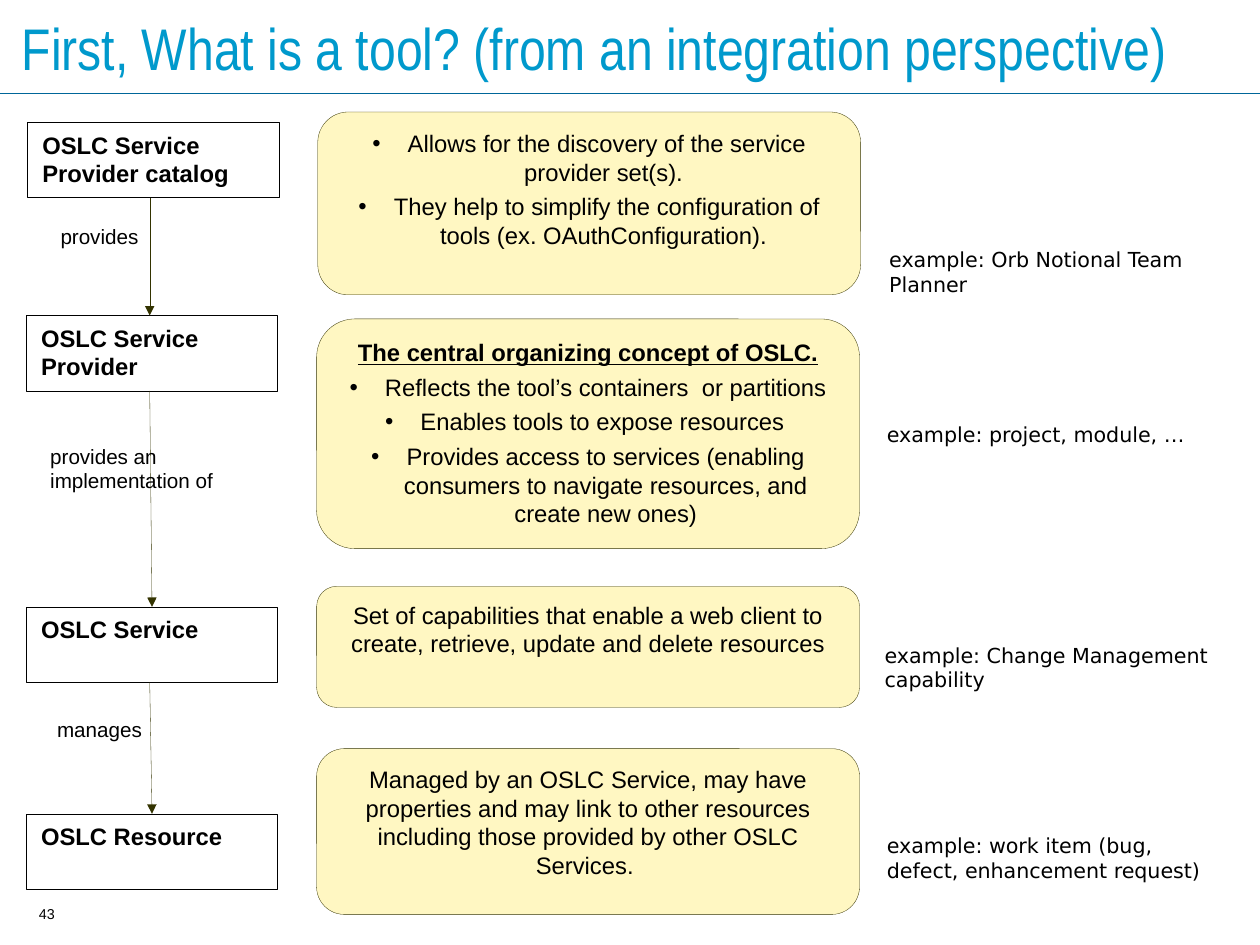
from dataclasses import dataclass

from lxml import etree
from pptx import Presentation
from pptx.dml.color import RGBColor
from pptx.enum.shapes import MSO_CONNECTOR, MSO_SHAPE
from pptx.enum.text import MSO_ANCHOR, PP_ALIGN
from pptx.oxml.ns import qn
from pptx.util import Inches, Pt

RECT = MSO_SHAPE.RECTANGLE
ROUND = MSO_SHAPE.ROUNDED_RECTANGLE
STRAIGHT = MSO_CONNECTOR.STRAIGHT
LEFT, CENTER = PP_ALIGN.LEFT, PP_ALIGN.CENTER
TOP, MIDDLE = MSO_ANCHOR.TOP, MSO_ANCHOR.MIDDLE


@dataclass(frozen=True)
class Theme:
    ink: RGBColor = RGBColor(0, 0, 0)
    title: RGBColor = RGBColor(0x00, 0x99, 0xCC)
    rule: RGBColor = RGBColor(0x00, 0x66, 0x99)
    edge: RGBColor = RGBColor(0x33, 0x33, 0x00)
    note: RGBColor = RGBColor(0xFF, 0xF7, 0xC2)
    sans: str = "Arial"
    narrow: str = "Arial Narrow"
    wide: str = "DejaVu Sans"
    head: float = 37
    body: float = 15
    label: float = 13
    page: float = 9
    hair: float = 0.2
    thin: float = 0.75
    gap: float = 3.75


theme = Theme()


def write(shape, lines, size, font=theme.sans, color=theme.ink, align=LEFT,
          anchor=TOP, pad=(0.13, 0.07), wrap=True):
    """Fill a shape with (text, style) lines; style holds b, u or * for a bullet."""
    frame = shape.text_frame
    frame.word_wrap = wrap
    frame.vertical_anchor = anchor
    frame.margin_left = frame.margin_right = Inches(pad[0])
    frame.margin_top = frame.margin_bottom = Inches(pad[1])
    for i, (text, style) in enumerate(lines):
        para = frame.paragraphs[0] if i == 0 else frame.add_paragraph()
        para.alignment = align
        if "*" in style:
            props = para._p.get_or_add_pPr()
            props.set("marL", str(Inches(0.31)))
            props.set("indent", str(-Inches(0.31)))
            etree.SubElement(props, qn("a:buFont")).set("typeface", font)
            etree.SubElement(props, qn("a:buChar")).set("char", "•")
        if i:
            para.space_before = Pt(theme.gap)
        run = para.add_run()
        run.text = text
        run.font.name = font
        run.font.size = Pt(size)
        run.font.color.rgb = color
        run.font.bold = "b" in style
        run.font.underline = "u" in style


def connect(start, end, color, width):
    """Draw a straight line without a shadow."""
    line = slide.shapes.add_connector(STRAIGHT, *map(Inches, start + end))
    line.line.color.rgb = color
    line.line.width = Pt(width)
    etree.SubElement(line._element.spPr, qn("a:effectLst"))
    return line


# Page of 28 by 21 centimetres
deck = Presentation()
deck.slide_width, deck.slide_height = Inches(28 / 2.54), Inches(21 / 2.54)
slide = deck.slides.add_slide(deck.slide_layouts[6])
shapes = slide.shapes

# Title, rule and page number
connect((0, 0.82), (11.02, 0.82), theme.rule, theme.thin)
page = shapes.add_textbox(Inches(0.1), Inches(7.89), Inches(0.62), Inches(0.21))
write(page, [("43", "")], theme.page, align=CENTER, anchor=MIDDLE,
      pad=(0.11, 0.06), wrap=False)
title = shapes.add_textbox(Inches(0.08), Inches(0.09), Inches(10.85), Inches(0.64))
write(title, [("First, What is a tool? (from an integration perspective)", "")],
      theme.head, theme.narrow, theme.title, anchor=MIDDLE, pad=(0.11, 0.06))

# Concept boxes
concepts = [
    (0.24, 1.07, "OSLC Service Provider catalog"),
    (0.23, 2.76, "OSLC Service Provider"),
    (0.23, 5.31, "OSLC Service"),
    (0.23, 7.12, "OSLC Resource"),
]
boxes = []
for x, y, name in concepts:
    box = shapes.add_shape(RECT, Inches(x), Inches(y), Inches(2.2), Inches(0.66))
    box.shadow.inherit = False
    box.fill.background()
    box.line.color.rgb = theme.ink
    box.line.width = Pt(theme.hair)
    write(box, [(name, "b")], theme.body)
    boxes.append(box)

# Descriptions
notes = [
    (2.78, 0.98, 1.6, [
        ("Allows for the discovery of the service provider set(s). ", "*"),
        ("They help to simplify the configuration of tools "
         "(ex. OAuthConfiguration). ", "*"),
    ]),
    (2.77, 2.79, 2.01, [
        ("The central organizing concept of OSLC.", "bu"),
        ("Reflects the tool’s containers  or partitions", "*"),
        ("Enables tools to expose resources ", "*"),
        ("Provides access to services (enabling consumers to navigate "
         "resources, and create new ones)", "*"),
    ]),
    (2.77, 5.13, 1.06, [
        ("Set of capabilities that enable a web client to create, retrieve, "
         "update and delete resources", ""),
    ]),
    (2.77, 6.55, 1.45, [
        ("Managed by an OSLC Service, may have properties and may link to "
         "other resources including those provided by other OSLC Services. ", ""),
    ]),
]
for x, y, high, lines in notes:
    note = shapes.add_shape(ROUND, Inches(x), Inches(y), Inches(4.75), Inches(high))
    note.shadow.inherit = False
    note.fill.solid()
    note.fill.fore_color.rgb = theme.note
    note.line.color.rgb = theme.edge
    note.line.width = Pt(theme.hair)
    write(note, lines, theme.body, align=CENTER)

# Arrows between concepts; the first one ends left of the box middle
for i, (start, end) in enumerate([
    ((1.31, 1.73), (1.31, 2.76)),
    ((1.31, 3.42), (1.33, 5.31)),
    ((1.31, 5.97), (1.33, 7.12)),
]):
    arrow = connect(start, end, theme.edge, theme.hair)
    if i:
        arrow.end_connect(boxes[i + 1], 0)
    tip = etree.SubElement(arrow.line._get_or_add_ln(), qn("a:tailEnd"))
    tip.set("type", "triangle")

# Arrow labels and examples
labels = [
    (0.4, 1.89, 2.14, 0.35, theme.sans, "provides"),
    (0.31, 3.81, 2.14, 0.58, theme.sans, "provides an implementation of"),
    (0.37, 6.2, 1.44, 0.35, theme.sans, "manages"),
    (7.65, 2.09, 3.15, 0.58, theme.wide, "example: Orb Notional Team Planner"),
    (7.63, 3.62, 3.16, 0.35, theme.wide, "example: project, module, …"),
    (7.61, 5.55, 3.16, 0.58, theme.wide, "example: Change Management capability"),
    (7.63, 7.22, 3.16, 0.58, theme.wide,
     "example: work item (bug, defect, enhancement request)"),
]
for x, y, wide, high, font, text in labels:
    label = shapes.add_textbox(Inches(x), Inches(y), Inches(wide), Inches(high))
    write(label, [(text, "")], theme.label, font)

deck.save("out.pptx")
